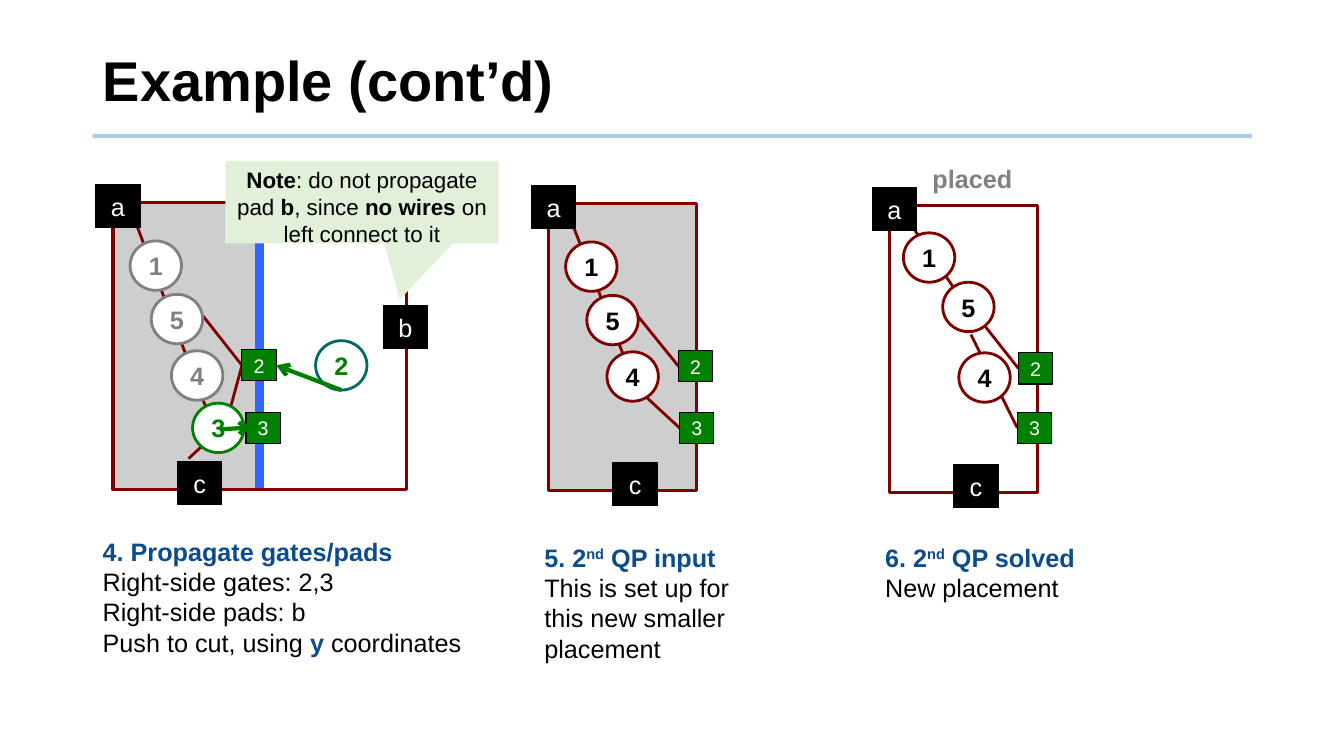
"""Builds the slide on propagating gates and pads between two placement steps."""
from dataclasses import dataclass

from lxml import etree
from pptx import Presentation
from pptx.dml.color import RGBColor
from pptx.enum.shapes import MSO_CONNECTOR, MSO_SHAPE
from pptx.enum.text import MSO_ANCHOR, MSO_AUTO_SIZE, PP_ALIGN
from pptx.oxml.ns import qn
from pptx.shapes.autoshape import Shape
from pptx.shapes.connector import Connector
from pptx.util import Inches, Pt

STRAIGHT = MSO_CONNECTOR.STRAIGHT
RECTANGLE, OVAL, CALLOUT = MSO_SHAPE.RECTANGLE, MSO_SHAPE.OVAL, MSO_SHAPE.RECTANGULAR_CALLOUT
TOP, MIDDLE = MSO_ANCHOR.TOP, MSO_ANCHOR.MIDDLE
LEFT, CENTER = PP_ALIGN.LEFT, PP_ALIGN.CENTER
GROW = MSO_AUTO_SIZE.SHAPE_TO_FIT_TEXT

BLACK = RGBColor(0x00, 0x00, 0x00)
WHITE = RGBColor(0xFF, 0xFF, 0xFF)
GRAY = RGBColor(0x80, 0x80, 0x80)
REGION = RGBColor(0xCE, 0xCE, 0xCE)
MAROON = RGBColor(0x80, 0x00, 0x00)
GREEN = RGBColor(0x00, 0x80, 0x00)
TEAL = RGBColor(0x00, 0x6B, 0x61)
CUT_BLUE = RGBColor(0x33, 0x66, 0xFF)
HEADING = RGBColor(0x0B, 0x4B, 0x8E)
RULE_BLUE = RGBColor(0x5B, 0x9B, 0xD5)
NOTE_GREEN = RGBColor(0xE2, 0xF0, 0xD9)

COLUMNS, ROWS = 13.33, 7.5
SLIDE_W, SLIDE_H = Inches(COLUMNS), Inches(ROWS)
SIDE_TOP, SIDE_LEFT, SIDE_BOTTOM, SIDE_RIGHT, OVAL_LEFT = 0, 1, 2, 3, 2
FRAME_COL, FRAME_ROW, FRAME_ROWS, HALF = 0.17, 0.18, 2.85, 1.47
Point = tuple[float, float]


@dataclass(frozen=True)
class Run:
    text: str
    color: RGBColor = BLACK
    bold: bool = False
    size: float = 18
    raised: bool = False


@dataclass(frozen=True)
class Gate:
    label: str
    at: Point
    outline: RGBColor = MAROON
    color: RGBColor = BLACK


@dataclass(frozen=True)
class Wire:
    start: Point
    end: Point
    start_pad: str = ""
    end_pad: str = ""


@dataclass(frozen=True)
class Panel:
    origin: Point
    width: float
    shaded: bool
    gates: list[Gate]
    wires: list[Wire]
    pads: dict[str, Point]
    caption_at: Point
    caption_size: Point
    caption: list[list[Run]]


def step_heading(number: int, rest: str) -> list[Run]:
    """Return the heading runs of a step with a raised ordinal."""
    return [Run(f"{number}. 2", HEADING, True), Run("nd", HEADING, True, raised=True),
            Run(rest, HEADING, True)]


CHAIN = {"1": (0.34, 0.56), "5": (0.55, 1.09), "4": (0.75, 1.65)}
SOLVED_CHAIN = {"1": (0.31, 0.45), "5": (0.70, 0.94), "4": (0.86, 1.64)}
SHARED_PADS = {"a": (0, 0), "c": (0.81, 2.75)}
SHARED_WIRE = Wire((1.06, 1.30), (1.45, 1.80), end_pad="2")

PANELS = [
    Panel((0.95, 1.83), 2.91, True,
          [Gate("2", (2.18, 1.55), TEAL, GREEN), Gate("3", (0.96, 2.17), GREEN, GREEN),
           *(Gate(label, at, GRAY, GRAY) for label, at in CHAIN.items())],
          [SHARED_WIRE, Wire((1.06, 2.59), (0.92, 2.72)), Wire((0.40, 0.39), (1.16, 2.39)),
           Wire((1.45, 1.80), (1.34, 2.20), start_pad="2")],
          SHARED_PADS | {"b": (2.85, 1.20), "2": (1.45, 1.64), "3": (1.49, 2.26)},
          (0.92, 5.27), (3.79, 1.31),
          [[Run("4. Propagate gates/pads", HEADING, True)], [Run("Right-side gates: 2,3")],
           [Run("Right-side pads: b")],
           [Run("Push to cut, using"), Run(" y", HEADING, True), Run(" coordinates")]]),
    Panel((5.27, 1.84), HALF, True,
          [Gate(label, at) for label, at in CHAIN.items()],
          [SHARED_WIRE, Wire((1.47, 2.40), (1.14, 2.10), start_pad="3"),
           Wire((0.41, 0.39), (0.92, 1.70))],
          SHARED_PADS | {"2": (1.46, 1.64), "3": (1.47, 2.25)},
          (5.30, 5.33), (2.62, 1.31),
          [step_heading(5, " QP input"), [Run("This is set up for")],
           [Run("this new smaller")], [Run("placement")]]),
    Panel((8.65, 1.86), HALF, False,
          [Gate(label, at) for label, at in SOLVED_CHAIN.items()],
          [SHARED_WIRE, Wire((1.44, 2.39), (0.98, 1.46), start_pad="3"),
           Wire((0.40, 0.39), (0.90, 1.13))],
          SHARED_PADS | {"2": (1.45, 1.64), "3": (1.44, 2.23)},
          (8.68, 5.33), (2.81, 0.70),
          [step_heading(6, " QP solved"), [Run("New placement")]]),
]


def across(columns: float) -> int:
    """Convert grid columns to a length."""
    return round(SLIDE_W * columns / COLUMNS)


def down(rows: float) -> int:
    """Convert grid rows to a length."""
    return round(SLIDE_H * rows / ROWS)


def box(at: Point, size: Point) -> tuple[int, int, int, int]:
    """Return left, top, width and height as lengths."""
    return across(at[0]), down(at[1]), across(size[0]), down(size[1])


def shift(origin: Point, offset: Point) -> Point:
    """Return the grid point at an offset from an origin."""
    return origin[0] + offset[0], origin[1] + offset[1]


def write(frame, lines: list[list[Run]], align=CENTER, **frame_format) -> None:
    """Fill a text frame with formatted runs."""
    for name, value in frame_format.items():
        setattr(frame, name, value)
    for index, runs in enumerate(lines):
        paragraph = frame.add_paragraph() if index else frame.paragraphs[0]
        paragraph.alignment = align
        for part in runs:
            run = paragraph.add_run()
            run.text = part.text
            font_format = {"name": "Arial", "size": Pt(part.size), "bold": part.bold}
            for name, value in font_format.items():
                setattr(run.font, name, value)
            run.font.color.rgb = part.color
            if part.raised:
                run.font._element.set("baseline", "30000")


def block(shapes, kind, at: Point, size: Point, fill=None, outline=None, weight=0.75) -> Shape:
    """Draw a preset shape."""
    shape = shapes.add_shape(kind, *box(at, size))
    shape.shadow.inherit = False
    for paint, color in ((shape.fill, fill), (shape.line.fill, outline)):
        if color is None:
            paint.background()
        else:
            paint.solid()
            paint.fore_color.rgb = color
    if outline is not None:
        shape.line.width = Pt(weight)
    return shape


def stroke(shapes, start: Point, end: Point, color: RGBColor, weight: float,
           arrow: bool = False) -> Connector:
    """Draw a straight line, optionally with an arrowhead."""
    line = shapes.add_connector(STRAIGHT, across(start[0]), down(start[1]),
                                across(end[0]), down(end[1]))
    line.line.color.rgb = color
    line.line.width = Pt(weight)
    properties = line._element.spPr
    if arrow:
        etree.SubElement(properties.find(qn("a:ln")), qn("a:tailEnd"), type="arrow")
    etree.SubElement(properties, qn("a:effectLst"))
    return line


def caption(shapes, at: Point, size: Point, lines: list[list[Run]]) -> None:
    """Draw a left-aligned text box."""
    frame = shapes.add_textbox(*box(at, size)).text_frame
    write(frame, lines, LEFT, word_wrap=False, auto_size=GROW)


def draw_panel(shapes, panel: Panel) -> None:
    """Draw one placement step with its caption."""
    caption(shapes, panel.caption_at, panel.caption_size, panel.caption)
    corner = shift(panel.origin, (FRAME_COL, FRAME_ROW))
    if panel.shaded:
        block(shapes, RECTANGLE, corner, (HALF, FRAME_ROWS), REGION)
    split = panel.width > HALF
    if split:
        middle = shift(corner, (panel.width / 2, 0))
        cut = stroke(shapes, middle, shift(middle, (0, FRAME_ROWS)), CUT_BLUE, 6)
    frame = block(shapes, RECTANGLE, corner, (panel.width, FRAME_ROWS), None, MAROON, 2.25)
    wires = [stroke(shapes, shift(panel.origin, wire.start), shift(panel.origin, wire.end),
                    MAROON, 2) for wire in panel.wires]
    gates, pads = {}, {}
    for gate in panel.gates:
        gates[gate.label] = block(shapes, OVAL, shift(panel.origin, gate.at), (0.51, 0.49),
                                  WHITE, gate.outline, 2)
        write(gates[gate.label].text_frame, [[Run(gate.label, gate.color, True)]],
              word_wrap=False, vertical_anchor=MIDDLE)
    for label, at in panel.pads.items():
        size, fill, points = ((0.34, 0.31), GREEN, 14) if label.isdigit() else (
            (0.44, 0.43), BLACK, 18)
        pads[label] = block(shapes, RECTANGLE, shift(panel.origin, at), size, fill, BLACK)
        write(pads[label].text_frame, [[Run(label, WHITE, size=points)]],
              word_wrap=False, vertical_anchor=MIDDLE)
    for wire, line in zip(panel.wires, wires):
        if wire.start_pad:
            line.begin_connect(pads[wire.start_pad], SIDE_LEFT)
        if wire.end_pad:
            line.end_connect(pads[wire.end_pad], SIDE_LEFT)
    if split:
        cut.begin_connect(frame, SIDE_TOP)
        cut.end_connect(frame, SIDE_BOTTOM)
        push = stroke(shapes, shift(panel.origin, (2.18, 1.80)),
                      shift(panel.origin, (1.79, 1.80)), GREEN, 3, True)
        push.begin_connect(gates["2"], OVAL_LEFT)
        push.end_connect(pads["2"], SIDE_RIGHT)
        stroke(shapes, shift(panel.origin, (1.23, 2.43)),
               shift(panel.origin, (1.55, 2.41)), GREEN, 3, True)


def main() -> None:
    """Build and save the slide."""
    deck = Presentation()
    deck.slide_width, deck.slide_height = SLIDE_W, SLIDE_H
    slide = deck.slides.add_slide(deck.slide_layouts[5])
    shapes = slide.shapes

    title = shapes.title
    title.left, title.top, title.width, title.height = box((0.92, 0.28), (11.5, 1.1))
    write(title.text_frame, [[Run("Example (cont’d)", BLACK, True, 40)]], LEFT,
          vertical_anchor=MIDDLE, word_wrap=True)
    title.text_frame.paragraphs[0].line_spacing = 0.9
    rule = stroke(shapes, (0.92, 1.35), (12.42, 1.35), RULE_BLUE, 3)
    tint = next(rule._element.spPr.iter(qn("a:srgbClr")))
    etree.SubElement(tint, qn("a:alpha"), val="50000")

    for panel in PANELS:
        draw_panel(shapes, panel)
    caption(shapes, (9.15, 1.57), (1.28, 0.4), [[Run("placed", GRAY, True)]])

    note = block(shapes, CALLOUT, (2.24, 1.6), (2.7, 0.81), NOTE_GREEN, NOTE_GREEN)
    note.adjustments[0], note.adjustments[1] = 0.14, 1.18
    wording = ["Note", ": do not propagate pad ", "b", ", since ", "no wires",
               " on left connect to it"]
    write(note.text_frame, [[Run(text, BLACK, index % 2 == 0, 16)
                             for index, text in enumerate(wording)]],
          word_wrap=True, vertical_anchor=TOP)
    deck.save("out.pptx")


if __name__ == "__main__":
    main()
